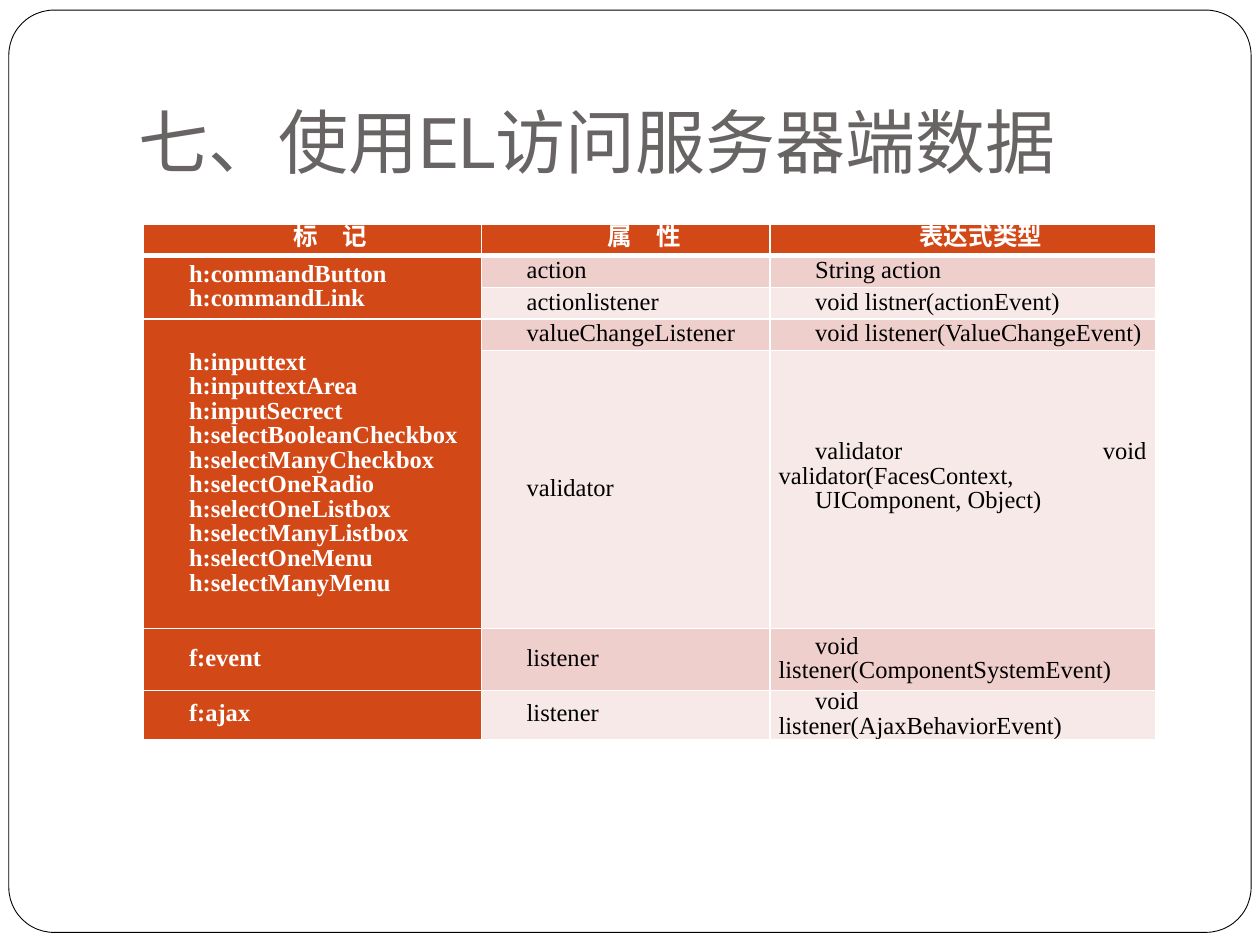
from lxml.etree import SubElement
from pptx import Presentation
from pptx.dml.color import RGBColor
from pptx.enum.shapes import MSO_SHAPE
from pptx.enum.text import MSO_ANCHOR, MSO_AUTO_SIZE, PP_ALIGN
from pptx.oxml.ns import qn
from pptx.util import Inches, Pt

TITLE = "七、使用EL访问服务器端数据"
HEADER = ("标　记", "属　性", "表达式类型")
INPUT_TAGS = """h:inputtext
h:inputtextArea
h:inputSecrect
h:selectBooleanCheckbox
h:selectManyCheckbox
h:selectOneRadio
h:selectOneListbox
h:selectManyListbox
h:selectOneMenu
h:selectManyMenu"""
ROWS = [
    HEADER,
    ("h:commandButton\nh:commandLink", "action", "String action"),
    (None, "actionlistener", "void listner(actionEvent)"),
    (INPUT_TAGS, "valueChangeListener", "void listener(ValueChangeEvent)"),
    (None, "validator", "validator void validator(FacesContext,\nUIComponent, Object)"),
    ("f:event", "listener", "void listener(ComponentSystemEvent)"),
    ("f:ajax", "listener", "void listener(AjaxBehaviorEvent)"),
]
COL_WIDTHS = (2.68, 2.29, 3.06)
ROW_HEIGHTS = (0.25, 0.25, 0.25, 0.25, 2.21, 0.49, 0.25)
VALIDATOR_CELL = (4, 2)
COLORS = {"white": "FFFFFF", "black": "000000", "title": "696464",
          "accent": "D34817", "band_dark": "EFCFCC", "band_light": "F7E9E8"}


def rgb(name):
    """Return a named colour."""
    return RGBColor.from_string(COLORS[name])


def add_frame(s):
    """Draw the rounded frame around the slide."""
    sp = s.shapes.add_shape(MSO_SHAPE.ROUNDED_RECTANGLE, Inches(0.07), Inches(0.08),
                            Inches(9.86), Inches(7.32))
    sp.adjustments[0] = 0.049
    sp.shadow.inherit = False
    sp.fill.solid()
    sp.fill.fore_color.rgb = rgb("white")
    sp.line.color.rgb = rgb("black")
    sp.line.width = Pt(0.5)
    s.shapes._spTree.insert(2, sp._element)


def set_title(s):
    """Place and format the title."""
    sp = s.shapes.title
    sp.left, sp.top, sp.width, sp.height = (Inches(v) for v in (1, 0.3, 8.5, 1.25))
    tf = sp.text_frame
    tf.text = TITLE
    tf.auto_size = MSO_AUTO_SIZE.NONE
    tf.vertical_anchor = MSO_ANCHOR.BOTTOM
    tf.margin_bottom = Inches(0.1)
    p = tf.paragraphs[0]
    p.alignment = PP_ALIGN.LEFT
    p.font.name = "Roboto"
    p.font.size = Pt(40)
    p.font.color.rgb = rgb("title")


def set_borders(cell, row):
    """Give a cell white borders, thicker below the header."""
    widths = {"L": 1, "R": 1, "T": 3 if row == 1 else 1, "B": 3 if row == 0 else 1}
    tc_pr = cell._tc.get_or_add_tcPr()
    for i, (side, width) in enumerate(widths.items()):
        ln = SubElement(tc_pr, qn(f"a:ln{side}"), w=str(Pt(width)))
        fill = SubElement(ln, qn("a:solidFill"))
        SubElement(fill, qn("a:srgbClr"), val=COLORS["white"])
        tc_pr.insert(i, ln)


def format_cell(cell, row, col):
    """Apply fill, borders, margins and text format to a cell."""
    strong = row == 0 or col == 0
    band = "band_dark" if row % 2 else "band_light"
    cell.fill.solid()
    cell.fill.fore_color.rgb = rgb("accent" if strong else band)
    set_borders(cell, row)
    cell.vertical_anchor = MSO_ANCHOR.MIDDLE
    cell.margin_left = cell.margin_right = Inches(0.07)
    cell.margin_top = 0
    cell.margin_bottom = Pt(14) if (row, col) == VALIDATOR_CELL else 0
    for p in cell.text_frame.paragraphs:
        p.alignment = PP_ALIGN.CENTER if row == 0 else PP_ALIGN.JUSTIFY
        p.line_spacing = Pt(14)
        p._p.get_or_add_pPr().set("indent", str(Inches(0.29)))
        p.font.name = "Times New Roman"
        p.font.size = Pt(14)
        p.font.bold = strong
        p.font.color.rgb = rgb("white" if strong else "black")


def add_tag_table(s):
    """Build the table of tags, attributes and expression types."""
    table = s.shapes.add_table(len(ROWS), len(HEADER), Inches(1.14), Inches(1.78),
                               Inches(sum(COL_WIDTHS)), Inches(sum(ROW_HEIGHTS))).table
    for column, width in zip(table.columns, COL_WIDTHS):
        column.width = Inches(width)
    for table_row, height in zip(table.rows, ROW_HEIGHTS):
        table_row.height = Inches(height)
    for row, texts in enumerate(ROWS):
        for col, text in enumerate(texts):
            cell = table.cell(row, col)
            if text is None:
                table.cell(row - 1, col).merge(cell)
            else:
                cell.text = text
            format_cell(cell, row, col)


def main():
    """Build the slide and save it."""
    prs = Presentation()
    prs.slide_width, prs.slide_height = Inches(10), Inches(7.5)
    s = prs.slides.add_slide(prs.slide_layouts[5])
    add_frame(s)
    set_title(s)
    add_tag_table(s)
    prs.save("out.pptx")


if __name__ == "__main__":
    main()
